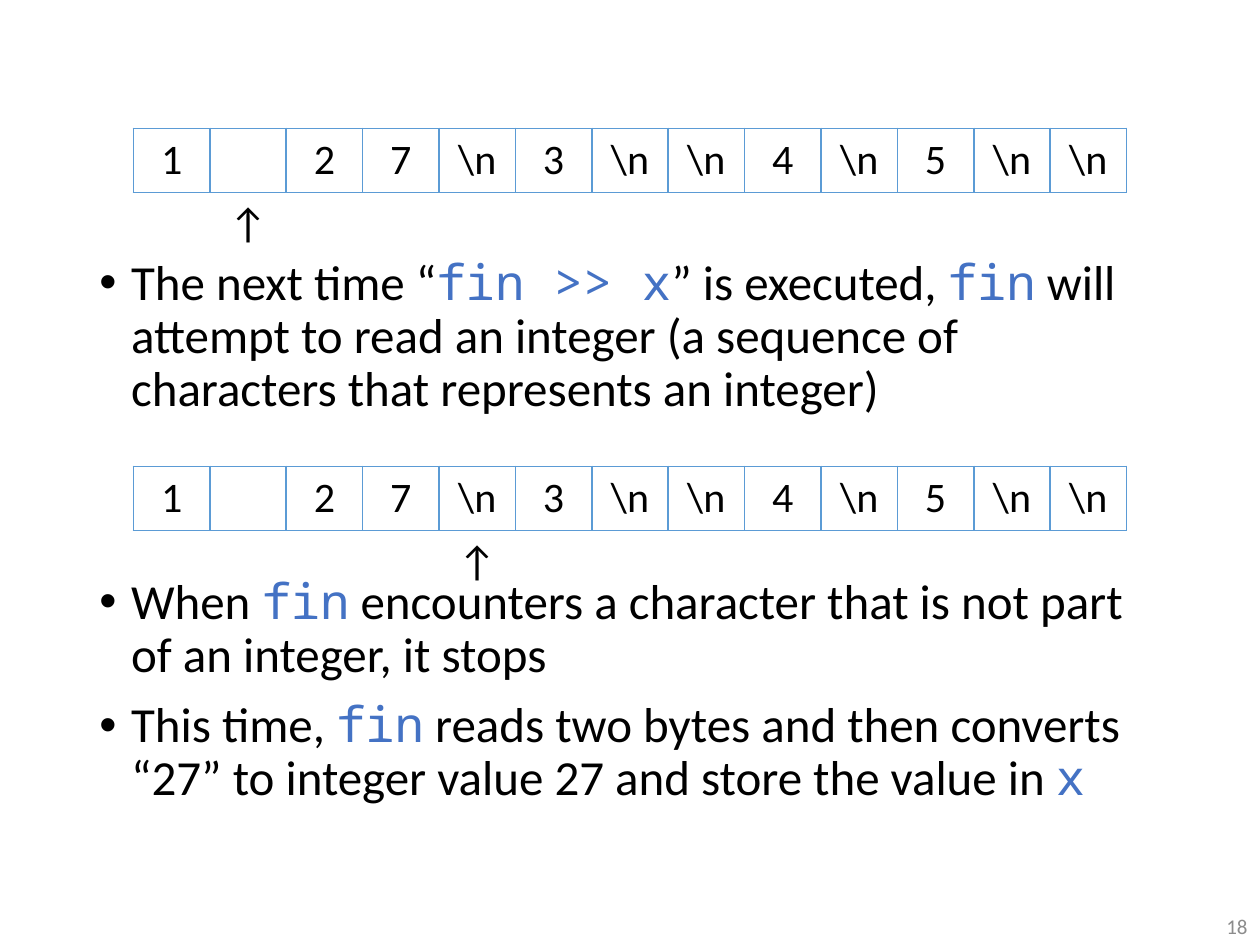
from lxml import etree
from pptx import Presentation
from pptx import util as u
from pptx.dml.color import RGBColor
from pptx.enum import text
from pptx.oxml.ns import qn

COLORS = {"ink": "000000", "code": "4472C4", "border": "5B9BD5", "number": "8C8C8C"}
BODY_FONT, CODE_FONT = "Calibri", "Noto Sans Mono"

STREAM = ["1", "", "2", "7", r"\n", "3", r"\n", r"\n", "4", r"\n", "5", r"\n", r"\n"]
# Top of each stream table in cm, and the column its read arrow points at
STREAM_VIEWS = [(2.59, 1), (9.4, 4)]
TABLE_LEFT, TABLE_WIDTH, ROW_HEIGHT = 2.69, 20.02, 1.29

# Space before in points, then (words, is code) spans
BULLETS = [
    (0, [("The next time “", False), ("fin >> x", True), ("” is executed, ", False),
         ("fin", True),
         (" will attempt to read an integer (a sequence of characters that "
          "represents an integer)", False)]),
    (91.5, [("When ", False), ("fin", True),
            (" encounters a character that is not part of an integer, it stops", False)]),
    (10, [("This time, ", False), ("fin", True),
          (" reads two bytes and then converts “27” to integer value 27 and store "
           "the value in ", False), ("x", True)]),
]


def set_font(font, name, size, color):
    font.name, font.size = name, u.Pt(size)
    font.color.rgb = RGBColor.from_string(COLORS[color])


def set_borders(cell, blue_sides):
    """Draw the named sides (of L, R, T, B) in blue and hide the others."""
    properties = cell._tc.get_or_add_tcPr()
    for side in "LRTB":
        line = etree.SubElement(properties, qn(f"a:ln{side}"), w=str(u.Pt(1)))
        if side in blue_sides:
            fill = etree.SubElement(line, qn("a:solidFill"))
            etree.SubElement(fill, qn("a:srgbClr"), val=COLORS["border"])
        else:
            etree.SubElement(line, qn("a:noFill"))


def add_stream(slide, top, arrow_column):
    """Add the row of characters with the read arrow beneath it."""
    pointer = ["↑" if i == arrow_column else "" for i in range(len(STREAM))]
    rows = [(STREAM, "LRTB"), (pointer, "T")]
    table = slide.shapes.add_table(
        len(rows), len(STREAM), u.Cm(TABLE_LEFT), u.Cm(top),
        u.Cm(TABLE_WIDTH), u.Cm(ROW_HEIGHT * len(rows))).table
    table.first_row = table.horz_banding = False
    for column in table.columns:
        column.width = u.Cm(TABLE_WIDTH / len(STREAM))
    for r, (labels, blue_sides) in enumerate(rows):
        table.rows[r].height = u.Cm(ROW_HEIGHT)
        for c, label in enumerate(labels):
            cell = table.cell(r, c)
            set_borders(cell, blue_sides)
            cell.fill.background()
            if label == "↑":
                cell.margin_left = cell.margin_right = 0
            para = cell.text_frame.paragraphs[0]
            para.text = label
            para.alignment = text.PP_ALIGN.CENTER
            set_font(para.font, BODY_FONT, 24, "ink")


def fill_body(body):
    body.left, body.top = u.Cm(1.75), u.Cm(5.08)
    body.width, body.height = u.Cm(21.89), u.Cm(12.09)
    frame = body.text_frame
    frame.auto_size = text.MSO_AUTO_SIZE.NONE
    for i, (space, spans) in enumerate(BULLETS):
        para = frame.add_paragraph() if i else frame.paragraphs[0]
        indent = u.Cm(0.64)
        properties = para._p.get_or_add_pPr()
        properties.set("marL", str(indent))
        properties.set("indent", str(-indent))
        para.line_spacing, para.space_before = 0.9, u.Pt(space)
        for words, is_code in spans:
            span = para.add_run()
            span.text = words
            if is_code:
                set_font(span.font, CODE_FONT, 28, "code")
            else:
                set_font(span.font, BODY_FONT, 28, "ink")


def add_slide_number(slide, number):
    box = slide.shapes.add_textbox(u.Cm(19.69), u.Cm(18.03), u.Cm(5.71), u.Cm(1.02))
    frame = box.text_frame
    frame.word_wrap = True
    frame.vertical_anchor = text.MSO_ANCHOR.BOTTOM
    para = frame.paragraphs[0]
    para.text = number
    para.alignment = text.PP_ALIGN.RIGHT
    set_font(para.font, BODY_FONT, 12, "number")


def main():
    deck = Presentation()
    deck.slide_width, deck.slide_height = u.Cm(25.4), u.Cm(19.05)
    slide = deck.slides.add_slide(deck.slide_layouts.get_by_name("Title and Content"))
    title = slide.shapes.title.element
    title.getparent().remove(title)
    fill_body(slide.placeholders[1])
    add_slide_number(slide, "18")
    for top, arrow_column in STREAM_VIEWS:
        add_stream(slide, top, arrow_column)
    deck.save("out.pptx")


if __name__ == "__main__":
    main()
